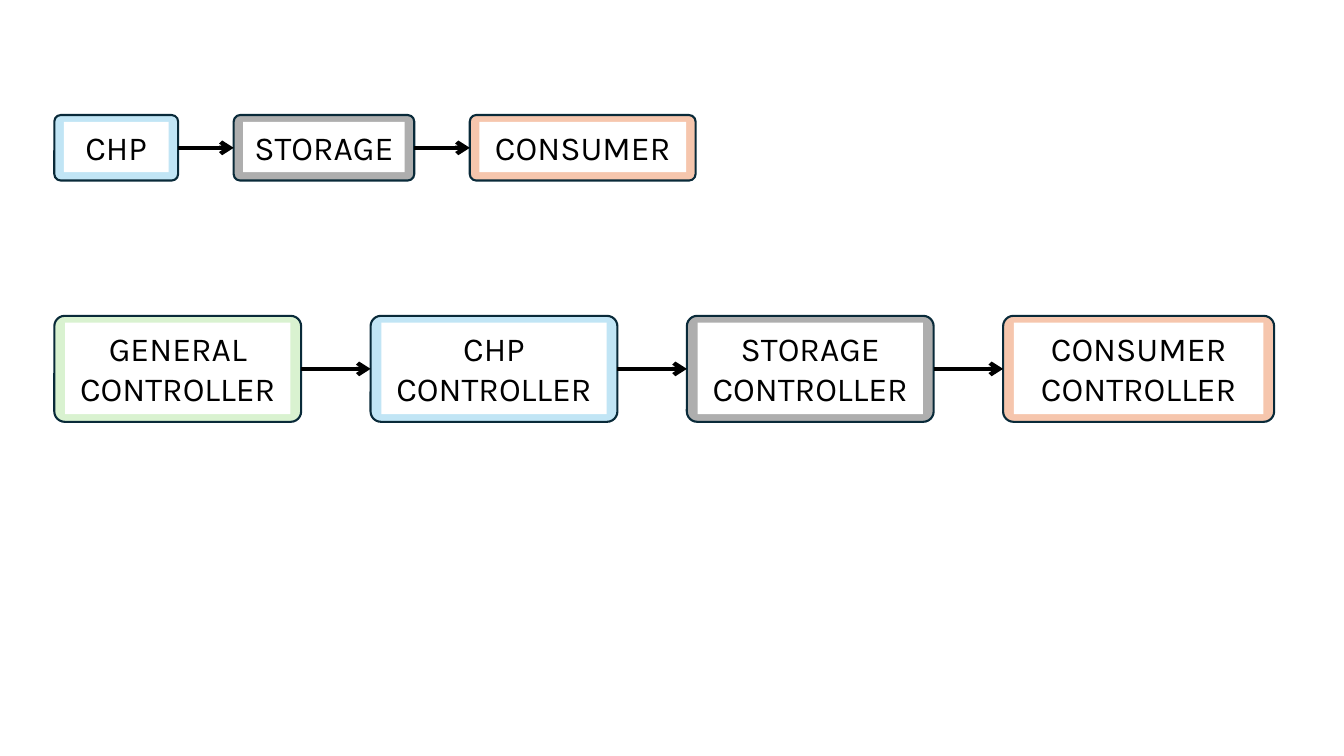
"""Build a slide with the energy supply chain above its chain of controllers."""
from dataclasses import dataclass

from lxml import etree
from pptx import Presentation
from pptx.dml.color import RGBColor
from pptx.enum.shapes import MSO_CONNECTOR, MSO_SHAPE
from pptx.enum.text import MSO_ANCHOR, MSO_AUTO_SIZE, PP_ALIGN
from pptx.oxml.ns import qn
from pptx.shapes.autoshape import Shape
from pptx.slide import Slide
from pptx.util import Cm, Pt

ROUNDED = MSO_SHAPE.ROUNDED_RECTANGLE
STRAIGHT = MSO_CONNECTOR.STRAIGHT
TOP = MSO_ANCHOR.TOP
GROW = MSO_AUTO_SIZE.SHAPE_TO_FIT_TEXT
CENTER = PP_ALIGN.CENTER

LEFT_SIDE, RIGHT_SIDE = 1, 3
CHAIN_LEFT = 1.37
LABEL_DROP = 0.17
FONT = "Karla"
BLACK, WHITE, NAVY = "000000", "FFFFFF", "092A39"
BLUE, GRAY, ORANGE, GREEN = "C1E5F5", "AEAEAE", "F6C6AD", "D9F2D0"


@dataclass(frozen=True)
class Stage:
    text: str
    width: float
    color: str


@dataclass(frozen=True)
class Chain:
    top: float
    height: float
    label_height: float
    border: float
    gap: float
    stages: tuple[Stage, ...]


CHAINS = (
    Chain(2.9, 1.65, 1.27, 0.24, 1.4, (
        Stage("CHP", 3.12, BLUE),
        Stage("STORAGE", 4.55, GRAY),
        Stage("CONSUMER", 5.69, ORANGE),
    )),
    Chain(7.96, 2.67, 2.31, 0.27, 1.75, (
        Stage("GENERAL\nCONTROLLER", 6.22, GREEN),
        Stage("CHP\nCONTROLLER", 6.22, BLUE),
        Stage("STORAGE CONTROLLER", 6.22, GRAY),
        Stage("CONSUMER\nCONTROLLER", 6.83, ORANGE),
    )),
)


def rgb(color: str) -> RGBColor:
    return RGBColor.from_string(color)


def add_frame(slide: Slide, stage: Stage, chain: Chain, left: float) -> Shape:
    frame = slide.shapes.add_shape(
        ROUNDED, Cm(left), Cm(chain.top), Cm(stage.width), Cm(chain.height))
    frame.adjustments[0] = 0.098
    frame.shadow.inherit = False
    frame.fill.solid()
    frame.fill.fore_color.rgb = rgb(stage.color)
    frame.line.color.rgb = rgb(NAVY)
    frame.line.width = Pt(1.5)
    return frame


def add_label(slide: Slide, stage: Stage, chain: Chain, left: float) -> None:
    label = slide.shapes.add_textbox(
        Cm(left + chain.border), Cm(chain.top + LABEL_DROP),
        Cm(stage.width - 2 * chain.border), Cm(chain.label_height))
    label.fill.solid()
    label.fill.fore_color.rgb = rgb(WHITE)
    text_frame = label.text_frame
    text_frame.text = stage.text
    text_frame.word_wrap = True
    text_frame.auto_size = GROW
    text_frame.vertical_anchor = TOP
    text_frame.margin_left = text_frame.margin_right = Cm(0)
    for paragraph in text_frame.paragraphs:
        paragraph.alignment = CENTER
        for run in paragraph.runs:
            run.font.name = FONT
            run.font.size = Pt(24)
            run.font.color.rgb = rgb(BLACK)


def add_arrow(slide: Slide, source: Shape, target: Shape) -> None:
    arrow = slide.shapes.add_connector(STRAIGHT, 0, 0, 0, 0)
    arrow.begin_connect(source, RIGHT_SIDE)
    arrow.end_connect(target, LEFT_SIDE)
    arrow.line.color.rgb = rgb(BLACK)
    arrow.line.width = Pt(3)
    etree.SubElement(arrow.line._get_or_add_ln(), qn("a:tailEnd"), type="arrow")
    etree.SubElement(arrow._element.spPr, qn("a:effectLst"))


def add_chain(slide: Slide, chain: Chain) -> None:
    left = CHAIN_LEFT
    frames = []
    for stage in chain.stages:
        frames.append(add_frame(slide, stage, chain, left))
        add_label(slide, stage, chain, left)
        left += stage.width + chain.gap
    for source, target in zip(frames, frames[1:]):
        add_arrow(slide, source, target)


def main() -> None:
    presentation = Presentation()
    presentation.slide_width = Cm(33.87)
    presentation.slide_height = Cm(19.05)
    slide = presentation.slides.add_slide(presentation.slide_layouts[6])
    for chain in CHAINS:
        add_chain(slide, chain)
    presentation.save("out.pptx")


if __name__ == "__main__":
    main()
